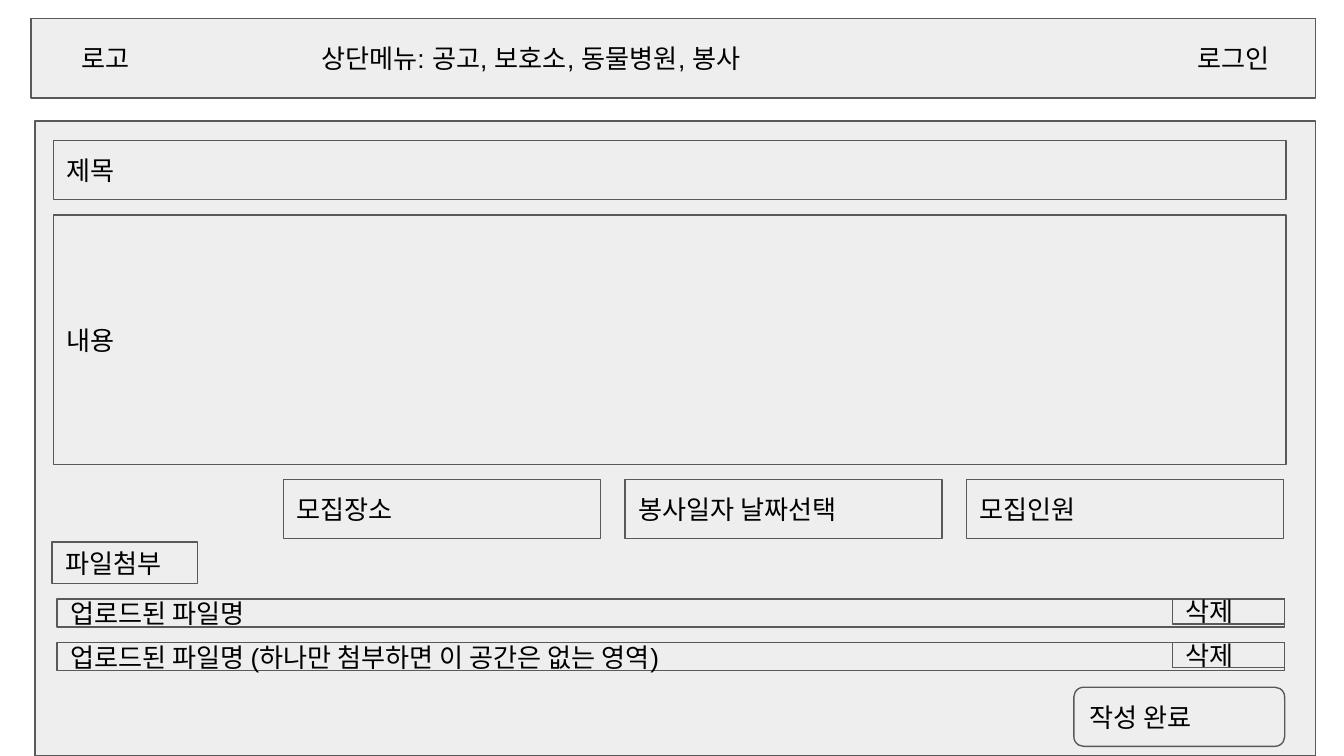
import pptx
import pptx.dml.color
import pptx.enum.shapes
import pptx.enum.text
import pptx.util
from dataclasses import dataclass

Pt = pptx.util.Pt
MSO = pptx.enum.shapes.MSO_SHAPE
ANCHOR = pptx.enum.text.MSO_ANCHOR
AUTO_SIZE = pptx.enum.text.MSO_AUTO_SIZE
ALIGN = pptx.enum.text.PP_ALIGN

COLORS = {"fill": "EEEEEE", "line": "595959", "text": "000000"}
INSET = 7.2
FRAME = {
    "word_wrap": True,
    "margin_left": Pt(INSET),
    "margin_right": Pt(INSET),
    "margin_top": Pt(INSET),
    "margin_bottom": Pt(INSET),
}
FONT = {"name": "Arial", "size": Pt(14)}


@dataclass
class Item:
    left: float
    top: float
    width: float
    height: float
    text: str = ""
    shape: MSO = MSO.RECTANGLE


def rgb(name: str) -> pptx.dml.color.RGBColor:
    return pptx.dml.color.RGBColor.from_string(COLORS[name])


def write(sp, text: str, anchor: ANCHOR, auto_size: AUTO_SIZE) -> None:
    tf = sp.text_frame
    for key, value in {**FRAME, "vertical_anchor": anchor, "auto_size": auto_size}.items():
        setattr(tf, key, value)
    p = tf.paragraphs[0]
    p.alignment = ALIGN.LEFT
    r = p.add_run()
    r.text = text
    for key, value in FONT.items():
        setattr(r.font, key, value)
    r.font.color.rgb = rgb("text")


def add_box(s, item: Item) -> None:
    sp = s.shapes.add_shape(item.shape, Pt(item.left), Pt(item.top), Pt(item.width), Pt(item.height))
    sp.shadow.inherit = False
    sp.fill.solid()
    sp.fill.fore_color.rgb = rgb("fill")
    sp.line.color.rgb = rgb("line")
    sp.line.width = Pt(0.75)
    if item.text:
        write(sp, item.text, ANCHOR.MIDDLE, AUTO_SIZE.NONE)


def add_label(s, item: Item) -> None:
    sp = s.shapes.add_textbox(Pt(item.left), Pt(item.top), Pt(item.width), Pt(item.height))
    write(sp, item.text, ANCHOR.TOP, AUTO_SIZE.SHAPE_TO_FIT_TEXT)


HEADER = Item(16.6, 10.1, 688.3, 42.4)
MENU = [
    Item(36.7, 15.4, 59.8, 31.7, "로고"),
    Item(634.3, 15.4, 59.8, 31.7, "로그인"),
    Item(164.9, 15.4, 425.5, 31.7, "상단메뉴: 공고, 보호소, 동물병원, 봉사"),
]
FORM = [
    Item(18.7, 64.8, 686.2, 340.2),
    Item(28.8, 75.4, 660.2, 31.7, "제목"),
    Item(28.8, 115.2, 660.2, 133.8, "내용"),
    Item(27.9, 290.4, 77.8, 22.3, "파일첨부"),
]
FILES = ["업로드된 파일명", "업로드된 파일명 (하나만 첨부하면 이 공간은 없는 영역)"]
FILE_TOP, FILE_STEP = 320.9, 23.3
SUBMIT = Item(575.3, 368.2, 113, 31.7, "작성 완료", MSO.ROUNDED_RECTANGLE)
FIELDS = ["모집장소", "봉사일자 날짜선택", "모집인원"]
FIELD_LEFT, FIELD_STEP = 151.9, 182.9


def main() -> None:
    prs = pptx.Presentation()
    prs.slide_width, prs.slide_height = Pt(720), Pt(405)
    s = prs.slides.add_slide(prs.slide_layouts[6])

    add_box(s, HEADER)
    for item in MENU:
        add_label(s, item)
    for item in FORM:
        add_box(s, item)
    for i, name in enumerate(FILES):
        top = FILE_TOP + i * FILE_STEP
        add_box(s, Item(30.5, top, 657.6, 15.1, name))
        add_box(s, Item(628, top, 60.1, 13.4, "삭제"))
    add_box(s, SUBMIT)
    for i, name in enumerate(FIELDS):
        add_box(s, Item(FIELD_LEFT + i * FIELD_STEP, 257, 169.9, 31.7, name))

    prs.save("out.pptx")


if __name__ == "__main__":
    main()
